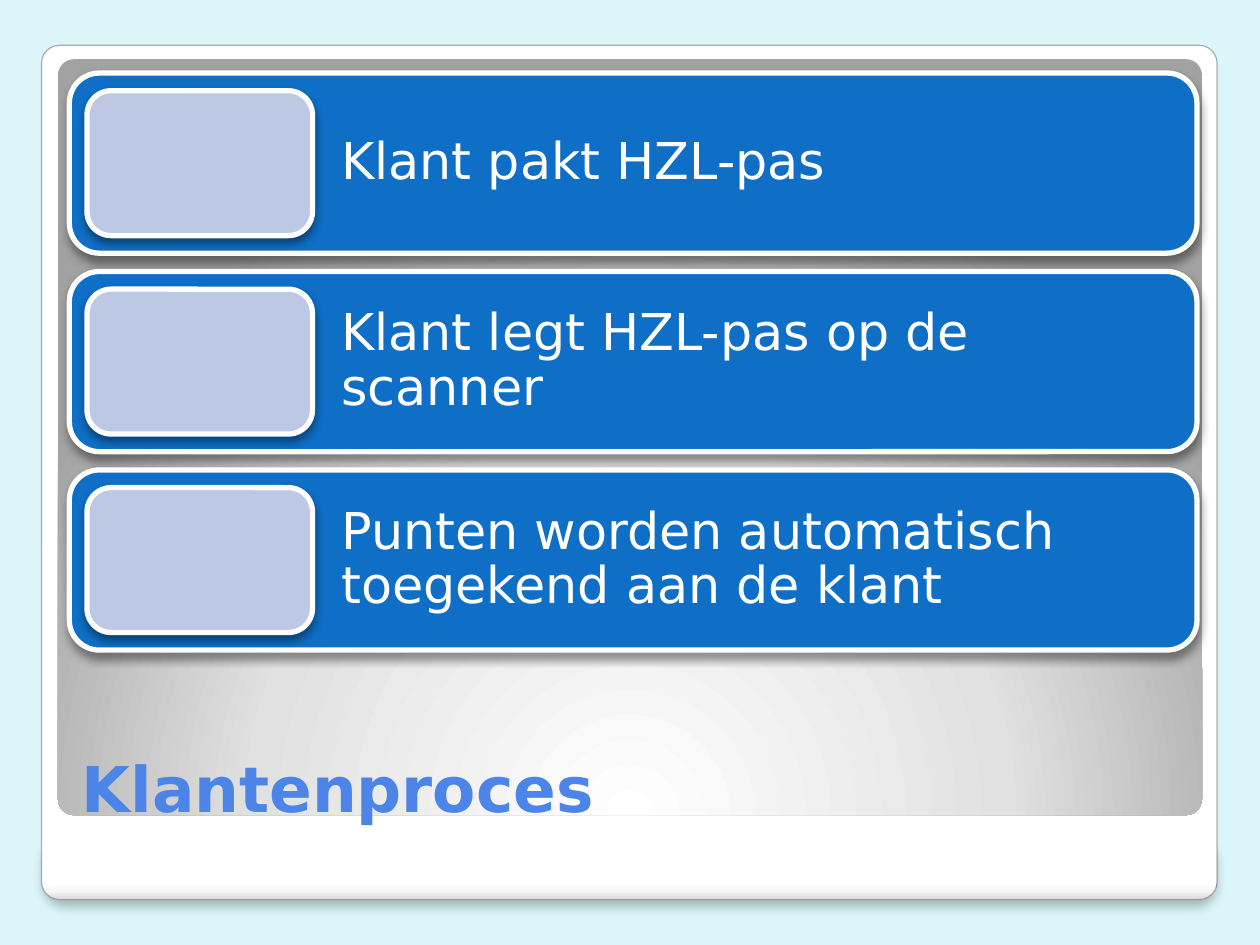
from dataclasses import dataclass

import pptx
import pptx.dml.color
import pptx.enum.shapes
import pptx.enum.text
import pptx.oxml
import pptx.oxml.ns
import pptx.util

Inches = pptx.util.Inches
Pt = pptx.util.Pt
qn = pptx.oxml.ns.qn
MIDDLE = pptx.enum.text.MSO_ANCHOR.MIDDLE
BOTTOM = pptx.enum.text.MSO_ANCHOR.BOTTOM


@dataclass(frozen=True)
class Theme:
    """Colours, font and type sizes of the slide."""
    background: str = "DBF5F9"
    bar: str = "0F6FC6"
    tile: str = "BDC8E5"
    white: str = "FFFFFF"
    title: str = "4C84E8"
    frame_line: str = "302F2C"
    font: str = "DejaVu Sans"
    title_size: int = 36
    step_size: int = 29


THEME = Theme()
FRAME_STOPS = [(0, "FFFFFF"), (98, "FFFFFF"), (99, "F7F7F7"), (100, "DADADA")]
PANEL_STOPS = [(0, "FFFFFF"), (55, "E1E1E1"), (100, "A2A2A2")]
DOWNWARD = '<a:lin ang="5400000" scaled="0"/>'
FROM_BOTTOM = ('<a:path path="circle"><a:fillToRect l="100000" t="350000" '
               'r="100000" b="100000"/></a:path>')
FRAME_SHADOW = (25, 6, 4)
STEP_SHADOW = (40, 5.2, 3)
STEPS = ["Klant pakt HZL-pas",
         "Klant legt HZL-pas op de scanner",
         "Punten worden automatisch toegekend aan de klant"]
STEP_TOP, STEP_PITCH, STEP_HEIGHT = 0.58, 1.575, 1.43
TILE_INSET = 0.14


def rgb(value):
    """Turn a hex string into a colour."""
    return pptx.dml.color.RGBColor.from_string(value)


def drawing_xml(tag, attributes, body):
    """Parse one DrawingML element."""
    return pptx.oxml.parse_xml(
        f'<a:{tag} {pptx.oxml.ns.nsdecls("a")} {attributes}>{body}</a:{tag}>')


def add_shadow(panel, opacity, blur, distance):
    """Give a panel a soft shadow that falls straight down."""
    color = f'<a:srgbClr val="000000"><a:alpha val="{opacity * 1000}"/></a:srgbClr>'
    attributes = (f'blurRad="{int(Pt(blur))}" dist="{int(Pt(distance))}" '
                  'dir="5400000" algn="ctr" rotWithShape="0"')
    effects = panel._element.spPr.find(qn("a:effectLst"))
    effects.append(drawing_xml("outerShdw", attributes, color))


def add_gradient(panel, stops, direction):
    """Replace the plain fill of a panel with a gradient."""
    body = "".join(f'<a:gs pos="{position * 1000}"><a:srgbClr val="{color}"/></a:gs>'
                   for position, color in stops)
    properties = panel._element.spPr
    properties.replace(
        properties.find(qn("a:solidFill")),
        drawing_xml("gradFill", 'rotWithShape="1"',
                    f"<a:gsLst>{body}</a:gsLst>{direction}"))


def add_panel(shapes, box, fill, line=None, width=3, rounding=None, shadow=None):
    """Add a rounded panel with optional outline and shadow."""
    panel = shapes.add_shape(pptx.enum.shapes.MSO_SHAPE.ROUNDED_RECTANGLE,
                             *map(Inches, box))
    if rounding is not None:
        panel.adjustments[0] = rounding
    panel.fill.solid()
    panel.fill.fore_color.rgb = rgb(fill)
    if line:
        panel.line.color.rgb = rgb(line)
        panel.line.width = Pt(width)
    else:
        panel.line.fill.background()
    panel.shadow.inherit = False
    if shadow:
        add_shadow(panel, *shadow)
    return panel


def add_text(shapes, box, text, size, color, anchor, bold=False,
             insets=(0.1, 0.05), line_spacing=None):
    """Add wrapped text in the given format."""
    caption = shapes.add_textbox(*map(Inches, box))
    frame = caption.text_frame
    frame.word_wrap = True
    frame.vertical_anchor = anchor
    frame.margin_left = frame.margin_right = Inches(insets[0])
    frame.margin_top = frame.margin_bottom = Inches(insets[1])
    paragraph = frame.paragraphs[0]
    if line_spacing:
        paragraph.line_spacing = line_spacing
    run = paragraph.add_run()
    run.text = text
    run.font.name = THEME.font
    run.font.size = Pt(size)
    run.font.bold = bold
    run.font.color.rgb = rgb(color)


def add_frame(shapes):
    """Add the white card and the grey panel on it."""
    for box, rounding, shadow in [((0.35, 6.63, 9.3, 0.5), 0.333, FRAME_SHADOW),
                                  ((0.33, 0.36, 9.33, 6.78), 0.021, None)]:
        card = add_panel(shapes, box, THEME.white, THEME.frame_line, 0.67,
                         rounding, shadow)
        add_gradient(card, FRAME_STOPS, DOWNWARD)
        line_color = card.line._ln.find(".//" + qn("a:srgbClr"))
        line_color.append(drawing_xml("alpha", 'val="37000"', ""))
    panel = add_panel(shapes, (0.46, 0.47, 9.08, 6), THEME.white, rounding=0.021)
    add_gradient(panel, PANEL_STOPS, FROM_BOTTOM)


def add_step(shapes, top, text):
    """Add one process step: bar, text and tile."""
    add_panel(shapes, (0.55, top, 8.95, STEP_HEIGHT), THEME.bar, THEME.white,
              shadow=STEP_SHADOW)
    add_text(shapes, (2.48, top, 6.26, STEP_HEIGHT), text, THEME.step_size,
             THEME.white, MIDDLE, insets=(0.23, 0.14), line_spacing=0.9)
    add_panel(shapes, (0.69, top + TILE_INSET, 1.79, STEP_HEIGHT - 2 * TILE_INSET),
              THEME.tile, THEME.white, shadow=STEP_SHADOW)


def main():
    """Build and save the slide."""
    deck = pptx.Presentation()
    deck.slide_width, deck.slide_height = Inches(10), Inches(7.5)
    slide = deck.slides.add_slide(deck.slide_layouts[6])
    slide.background.fill.solid()
    slide.background.fill.fore_color.rgb = rgb(THEME.background)
    add_frame(slide.shapes)
    add_text(slide.shapes, (0.55, 5.45, 8.95, 1.15), "Klantenproces",
             THEME.title_size, THEME.title, BOTTOM, bold=True)
    process = slide.shapes.add_group_shape()
    for index, text in enumerate(STEPS):
        add_step(process.shapes, STEP_TOP + index * STEP_PITCH, text)
    deck.save("out.pptx")


main()
